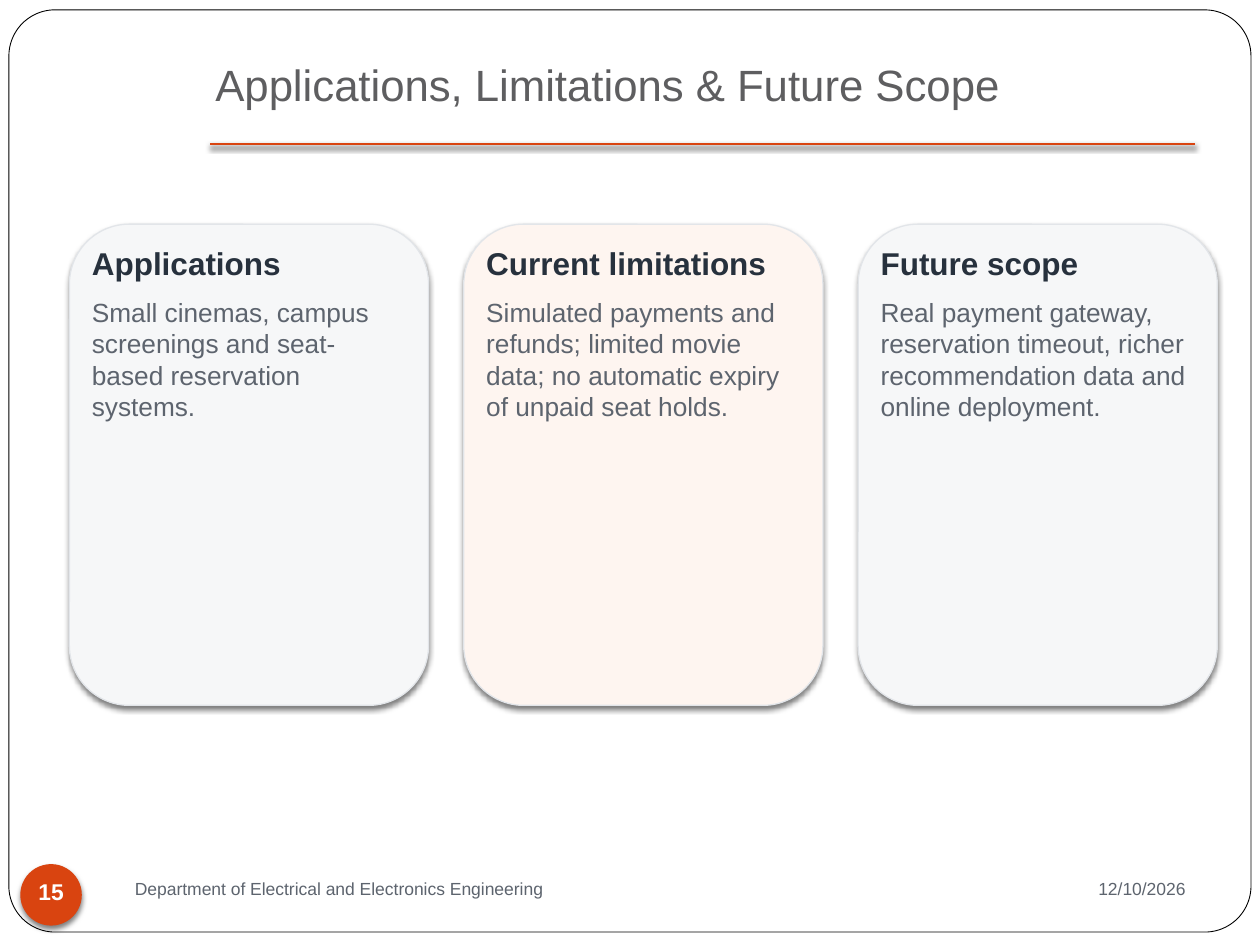
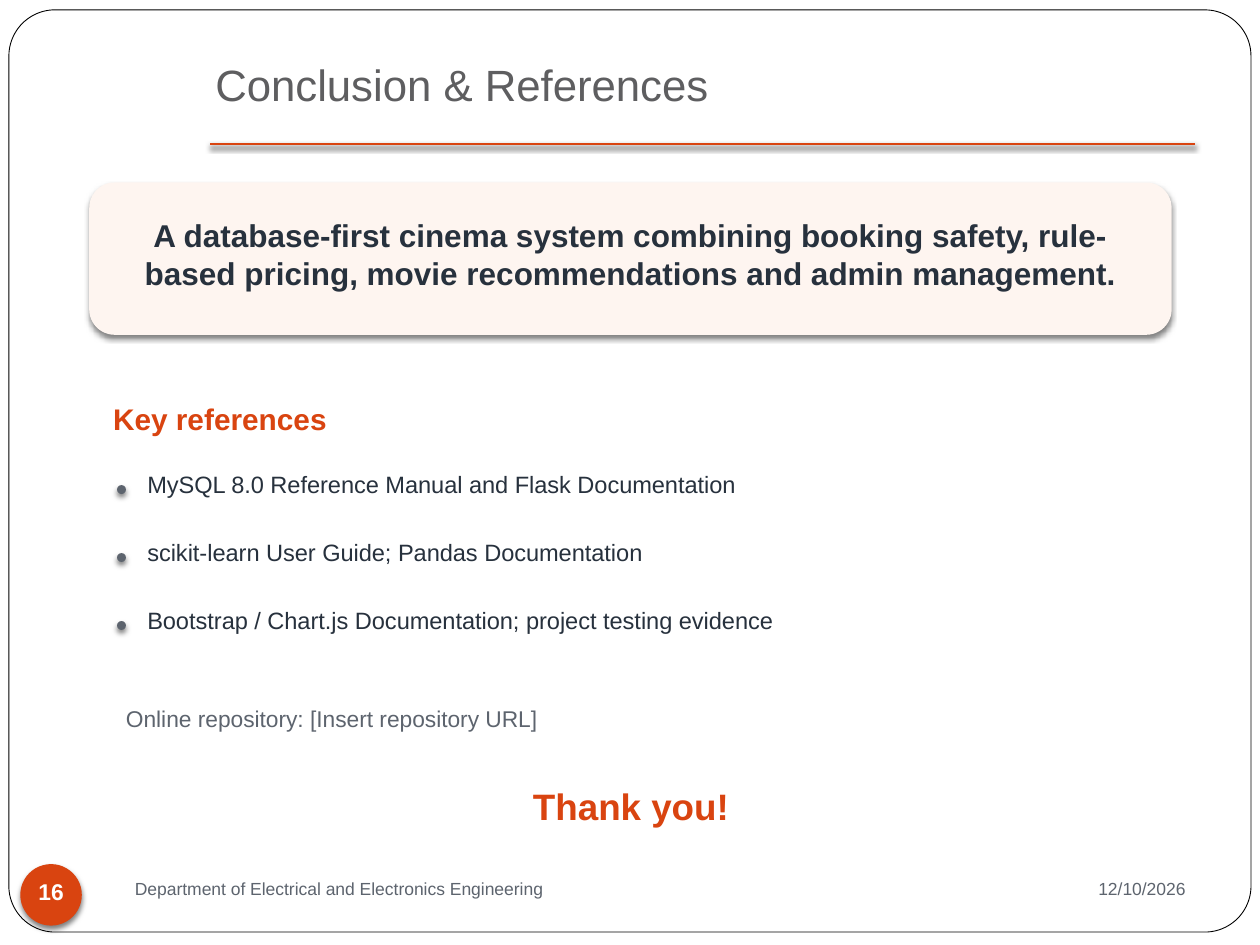
from dataclasses import dataclass

from pptx import Presentation
from pptx.dml.color import RGBColor
from pptx.enum.shapes import MSO_CONNECTOR, MSO_SHAPE as SHAPE
from pptx.enum.text import MSO_ANCHOR as ANCHOR, MSO_AUTO_SIZE as AUTO, PP_ALIGN as ALIGN
from pptx.oxml import parse_xml
from pptx.oxml.ns import nsdecls
from pptx.util import Cm, Pt


@dataclass(frozen=True)
class Theme:
    font: str = "Arial"
    accent: str = "D94410"
    title: str = "5E5E60"
    ink: str = "27313D"
    muted: str = "5D646E"
    white: str = "FFFFFF"
    frame: str = "000000"
    card: str = "F6F7F8"
    highlight: str = "FEF5F0"
    border: str = "E2E5E9"
    title_size: float = 25
    closing_size: float = 21
    heading_size: float = 18
    subheading_size: float = 17
    body_size: float = 15
    list_size: float = 13.5
    small_size: float = 13
    footer_size: float = 10


T = Theme()
INSETS = (0.1, 0.1, 0.1, 0.05)  # left, top, right, bottom in cm

SHADOW = (
    '<a:outerShdw blurRad="38100" dist="25400" dir="5400000" rotWithShape="0">'
    '<a:srgbClr val="000000"><a:alpha val="50000"/></a:srgbClr></a:outerShdw>'
)


def rgb(value):
    return RGBColor.from_string(value)


def set_effects(sp, shadow):
    """Replace the theme effects with a soft drop shadow, or with none."""
    inner = SHADOW if shadow else ""
    sp._element.spPr.append(
        parse_xml(f'<a:effectLst {nsdecls("a")}>{inner}</a:effectLst>'))


def set_frame(tf, insets=INSETS, anchor=ANCHOR.TOP):
    tf.word_wrap = True
    tf.auto_size = AUTO.NONE
    tf.vertical_anchor = anchor
    tf.margin_left, tf.margin_top, tf.margin_right, tf.margin_bottom = map(Cm, insets)


def add_run(p, text, size, color, bold=False, align=ALIGN.LEFT):
    p.alignment = align
    r = p.add_run()
    r.text = text
    r.font.name = T.font
    r.font.size = Pt(size)
    r.font.bold = bold
    r.font.color.rgb = rgb(color)


def add_text(s, box, text, size, color, **style):
    tf = s.shapes.add_textbox(*map(Cm, box)).text_frame
    set_frame(tf)
    add_run(tf.paragraphs[0], text, size, color, **style)


def add_panel(s, kind, box, fill=None, line=None, weight=0.75, shadow=True):
    sp = s.shapes.add_shape(kind, *map(Cm, box))
    if fill:
        sp.fill.solid()
        sp.fill.fore_color.rgb = rgb(fill)
    else:
        sp.fill.background()
    if line:
        sp.line.color.rgb = rgb(line)
        sp.line.width = Pt(weight)
    else:
        sp.line.fill.background()
    set_effects(sp, shadow)
    return sp


def add_title(s, text):
    sp = s.shapes.title
    sp.left, sp.top, sp.width, sp.height = map(Cm, (4.24, 1.07, 19.81, 1.42))
    set_frame(sp.text_frame)
    add_run(sp.text_frame.paragraphs[0], text, T.title_size, T.title)
    rule = s.shapes.add_connector(
        MSO_CONNECTOR.STRAIGHT, *map(Cm, (4.24, 2.9, 24.08, 2.9)))
    rule.line.color.rgb = rgb(T.accent)
    rule.line.width = Pt(1.5)
    set_effects(rule, True)


def add_footer(s, number):
    badge = add_panel(s, SHAPE.OVAL, (0.41, 17.42, 1.24, 1.24), T.accent)
    set_frame(badge.text_frame, (0, 0, 0, 0.13), ANCHOR.MIDDLE)
    add_run(badge.text_frame.paragraphs[0], str(number), T.small_size, T.white,
            bold=True, align=ALIGN.CENTER)
    add_text(s, (2.62, 17.6, 14.48, 0.71),
             "Department of Electrical and Electronics Engineering",
             T.footer_size, T.muted)
    add_text(s, (21.46, 17.6, 2.54, 0.71), "12/10/2026",
             T.footer_size, T.muted, align=ALIGN.RIGHT)


def add_slide(prs, title, number):
    s = prs.slides.add_slide(prs.slide_layouts[5])
    frame = add_panel(s, SHAPE.ROUNDED_RECTANGLE, (0.18, 0.2, 25.04, 18.59),
                      line=T.frame, weight=0.5, shadow=False)
    frame.adjustments[0] = 0.05
    add_title(s, title)
    add_footer(s, number)
    return s


def add_card(s, left, heading, body, fill):
    sp = add_panel(s, SHAPE.ROUNDED_RECTANGLE, (left, 4.52, 7.24, 9.7), fill, T.border)
    tf = sp.text_frame
    set_frame(tf, (0.1, 0.05, 0.1, 0.05))
    add_run(tf.paragraphs[0], heading, T.heading_size, T.ink, bold=True)
    p = tf.add_paragraph()
    p.space_before = Pt(8)
    add_run(p, body, T.body_size, T.muted)


def add_banner(s, text):
    sp = add_panel(s, SHAPE.ROUNDED_RECTANGLE, (1.8, 3.68, 21.82, 3.07), T.highlight)
    set_frame(sp.text_frame, (0.65, 0, 0.65, 0.19), ANCHOR.MIDDLE)
    add_run(sp.text_frame.paragraphs[0], text, T.heading_size, T.ink,
            bold=True, align=ALIGN.CENTER)


def add_reference(s, top, text):
    add_panel(s, SHAPE.OVAL, (2.36, top + 0.41, 0.18, 0.18), T.muted)
    add_text(s, (2.87, top, 20.07, 1.27), text, T.list_size, T.ink)


def build_scope(prs):
    s = add_slide(prs, "Applications, Limitations & Future Scope", 15)
    cards = [
        ("Applications",
         "Small cinemas, campus screenings and seat-based reservation systems.",
         T.card),
        ("Current limitations",
         "Simulated payments and refunds; limited movie data; "
         "no automatic expiry of unpaid seat holds.",
         T.highlight),
        ("Future scope",
         "Real payment gateway, reservation timeout, richer "
         "recommendation data and online deployment.",
         T.card),
    ]
    for i, card in enumerate(cards):
        add_card(s, 1.4 + 7.95 * i, *card)


def build_conclusion(prs):
    s = add_slide(prs, "Conclusion & References", 16)
    add_banner(s, "A database-first cinema system combining booking safety, rule-based "
                  "pricing, movie recommendations and admin management.")
    add_text(s, (2.18, 7.98, 20.83, 1.07), "Key references",
             T.subheading_size, T.accent, bold=True)
    references = [
        "MySQL 8.0 Reference Manual and Flask Documentation",
        "scikit-learn User Guide; Pandas Documentation",
        "Bootstrap / Chart.js Documentation; project testing evidence",
    ]
    for i, reference in enumerate(references):
        add_reference(s, 9.37 + 1.37 * i, reference)
    add_text(s, (2.44, 14.1, 20.47, 0.84), "Online repository: [Insert repository URL]",
             T.small_size, T.muted)
    add_text(s, (2.18, 15.7, 21.08, 0.91), "Thank you!",
             T.closing_size, T.accent, bold=True, align=ALIGN.CENTER)


def main():
    prs = Presentation()
    prs.slide_width, prs.slide_height = Cm(25.4), Cm(19.05)
    build_scope(prs)
    build_conclusion(prs)
    prs.save("out.pptx")


if __name__ == "__main__":
    main()
